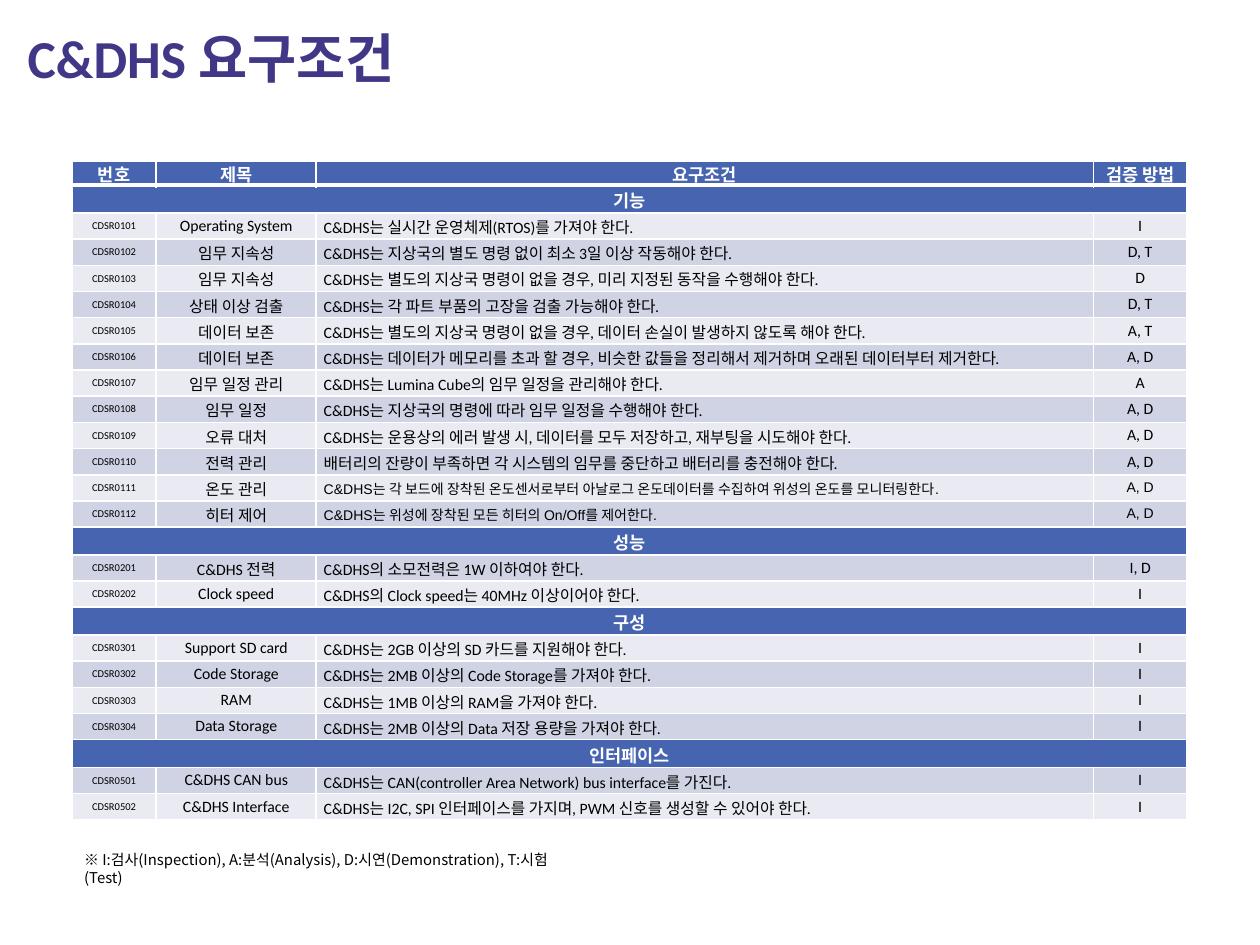
import pptx
import pptx.dml.color
import pptx.enum.text
import pptx.oxml
import pptx.oxml.ns
import pptx.util

Inches = pptx.util.Inches
ALIGN = pptx.enum.text.PP_ALIGN
ANCHOR = pptx.enum.text.MSO_ANCHOR

LATIN, KOREAN, SENSOR_FONT = "Calibri", "Noto Sans CJK KR", "Arial"
BLUE, WHITE, BLACK, PURPLE = "4764B0", "FFFFFF", "000000", "413787"
BANDS = ("E9EAF2", "CFD3E4")
TABLE_BOX = (0.57, 1.28, 8.86, 5.23)
COLUMN_WIDTHS = (0.67, 1.27, 6.17, 0.74)
HEADER_HEIGHT, SECTION_HEIGHT = 0.19, 0.22
HEADINGS = ("번호", "제목", "요구조건", "검증 방법")
SENSOR_CODES = ("CDSR0111", "CDSR0112")

# Section number, section name, then (title, requirement, verification)
SECTIONS = [
    (1, "기능", [
        ("Operating System", "C&DHS는 실시간 운영체제(RTOS)를 가져야 한다.", "I"),
        ("임무 지속성", "C&DHS는 지상국의 별도 명령 없이 최소 3일 이상 작동해야 한다.", "D, T"),
        ("임무 지속성", "C&DHS는 별도의 지상국 명령이 없을 경우, 미리 지정된 동작을 수행해야 한다.", "D"),
        ("상태 이상 검출", "C&DHS는 각 파트 부품의 고장을 검출 가능해야 한다.", "D, T"),
        ("데이터 보존", "C&DHS는 별도의 지상국 명령이 없을 경우, 데이터 손실이 발생하지 않도록 해야 한다.", "A, T"),
        ("데이터 보존", "C&DHS는 데이터가 메모리를 초과 할 경우, 비슷한 값들을 정리해서 제거하며 "
         "오래된 데이터부터 제거한다.", "A, D"),
        ("임무 일정 관리", "C&DHS는 Lumina Cube의 임무 일정을 관리해야 한다.", "A"),
        ("임무 일정", "C&DHS는 지상국의 명령에 따라 임무 일정을 수행해야 한다.", "A, D"),
        ("오류 대처", "C&DHS는 운용상의 에러 발생 시, 데이터를 모두 저장하고, 재부팅을 시도해야 한다.", "A, D"),
        ("전력 관리", "배터리의 잔량이 부족하면 각 시스템의 임무를 중단하고 배터리를 충전해야 한다.", "A, D"),
        ("온도 관리", "C&DHS는 각 보드에 장착된 온도센서로부터 아날로그 온도데이터를 수집하여 "
         "위성의 온도를 모니터링한다.", "A, D"),
        ("히터 제어", "C&DHS는 위성에 장착된 모든 히터의 On/Off를 제어한다.", "A, D"),
    ]),
    (2, "성능", [
        ("C&DHS 전력", "C&DHS의 소모전력은 1W 이하여야 한다.", "I, D"),
        ("Clock speed", "C&DHS의 Clock speed는 40MHz 이상이어야 한다.", "I"),
    ]),
    (3, "구성", [
        ("Support SD card", "C&DHS는 2GB 이상의 SD 카드를 지원해야 한다.", "I"),
        ("Code Storage", "C&DHS는 2MB 이상의 Code Storage를 가져야 한다.", "I"),
        ("RAM", "C&DHS는 1MB 이상의 RAM을 가져야 한다.", "I"),
        ("Data Storage", "C&DHS는 2MB 이상의 Data 저장 용량을 가져야 한다.", "I"),
    ]),
    (5, "인터페이스", [
        ("C&DHS CAN bus", "C&DHS는 CAN(controller Area Network) bus interface를 가진다.", "I"),
        ("C&DHS Interface", "C&DHS는 I2C, SPI 인터페이스를 가지며, PWM 신호를 생성할 수 있어야 한다.", "I"),
    ]),
]


def color(value):
    return pptx.dml.color.RGBColor.from_string(value)


def write_text(paragraph, text, align, hex_color, **font_values):
    """Add one run with a Latin font and a Korean fallback font."""
    paragraph.alignment = align
    run = paragraph.add_run()
    run.text = text
    for name, value in font_values.items():
        setattr(run.font, name, value)
    run.font.color.rgb = color(hex_color)
    east_asian = pptx.oxml.parse_xml(
        f'<a:ea {pptx.oxml.ns.nsdecls("a")} typeface="{KOREAN}"/>')
    run.font._element.find(pptx.oxml.ns.qn("a:latin")).addnext(east_asian)


def set_borders(cell, bottom):
    properties = cell._tc.get_or_add_tcPr()
    for side, points in (("L", 1), ("R", 1), ("T", 1), ("B", bottom)):
        width = pptx.util.Pt(points)
        properties.append(pptx.oxml.parse_xml(
            f'<a:ln{side} {pptx.oxml.ns.nsdecls("a")} w="{width}"><a:solidFill>'
            f'<a:srgbClr val="{WHITE}"/></a:solidFill></a:ln{side}>'))


def style_cell(cell, fill, margins=(0.06, 0.02), bottom=1):
    across, down = (Inches(margin) for margin in margins)
    cell.margin_left = cell.margin_right = across
    cell.margin_top = cell.margin_bottom = down
    cell.vertical_anchor = ANCHOR.MIDDLE
    set_borders(cell, bottom)
    cell.fill.solid()
    cell.fill.fore_color.rgb = color(fill)


def fill_cell(cell, text, size, font=LATIN, align=ALIGN.CENTER, ink=BLACK, bold=False):
    write_text(cell.text_frame.paragraphs[0], text, align, ink,
               size=pptx.util.Pt(size), name=font, bold=bold)


def fill_header(row):
    for cell, heading in zip(row.cells, HEADINGS):
        style_cell(cell, BLUE, margins=(0, 0), bottom=3)
        fill_cell(cell, heading, 10, ink=WHITE, bold=True)


def fill_section(row, name):
    cells = list(row.cells)
    for cell in cells:
        style_cell(cell, BLUE)
    cells[0].merge(cells[-1])
    fill_cell(cells[0], name, 10, KOREAN, ink=WHITE, bold=True)


def fill_requirement(row, code, texts, band):
    font, size = (SENSOR_FONT, 8) if code in SENSOR_CODES else (LATIN, 9)
    for cell in row.cells:
        style_cell(cell, band)
    number, title, requirement, verification = row.cells
    fill_cell(number, code, 6)
    fill_cell(title, texts[0], 9, font)
    fill_cell(requirement, texts[1], size, font, ALIGN.JUSTIFY)
    fill_cell(verification, texts[2], size, font)


def add_requirements_table(slide):
    requirement_count = sum(len(items) for _, _, items in SECTIONS)
    row_count = 1 + len(SECTIONS) + requirement_count
    frame = slide.shapes.add_table(row_count, len(COLUMN_WIDTHS), *map(Inches, TABLE_BOX))
    table = frame.table
    for column, width in zip(table.columns, COLUMN_WIDTHS):
        column.width = Inches(width)
    fixed_height = HEADER_HEIGHT + SECTION_HEIGHT * len(SECTIONS)
    for row in table.rows:
        row.height = Inches((TABLE_BOX[3] - fixed_height) / requirement_count)

    rows = enumerate(table.rows)
    _, header = next(rows)
    header.height = Inches(HEADER_HEIGHT)
    fill_header(header)
    for section, name, items in SECTIONS:
        _, row = next(rows)
        row.height = Inches(SECTION_HEIGHT)
        fill_section(row, name)
        for number, texts in enumerate(items, 1):
            index, row = next(rows)
            fill_requirement(row, f"CDSR{section:02}{number:02}", texts, BANDS[index % 2])


def place_title(slide):
    title = slide.shapes.title
    box = dict(left=0.13, top=0.11, width=5.92, height=0.69)
    for name, value in box.items():
        setattr(title, name, Inches(value))
    frame = title.text_frame
    frame.vertical_anchor = ANCHOR.MIDDLE
    frame.margin_left = frame.margin_right = Inches(0.09)
    frame.margin_top = frame.margin_bottom = Inches(0.04)
    frame.auto_size = pptx.enum.text.MSO_AUTO_SIZE.NONE
    write_text(frame.paragraphs[0], "C&DHS 요구조건", ALIGN.LEFT, PURPLE,
               size=pptx.util.Pt(30.5), name=LATIN, bold=True)


def add_legend(slide):
    box = slide.shapes.add_textbox(*map(Inches, (0.57, 6.7, 4.17, 0.24)))
    box.text_frame.word_wrap = True
    write_text(box.text_frame.paragraphs[0],
               "※ I:검사(Inspection), A:분석(Analysis), D:시연(Demonstration), T:시험(Test)",
               ALIGN.LEFT, BLACK, size=pptx.util.Pt(8.5), name=KOREAN)


def main():
    presentation = pptx.Presentation()
    presentation.slide_width, presentation.slide_height = Inches(10), Inches(7.5)
    slide = presentation.slides.add_slide(presentation.slide_layouts[5])
    place_title(slide)
    add_legend(slide)
    add_requirements_table(slide)
    presentation.save("out.pptx")


if __name__ == "__main__":
    main()
